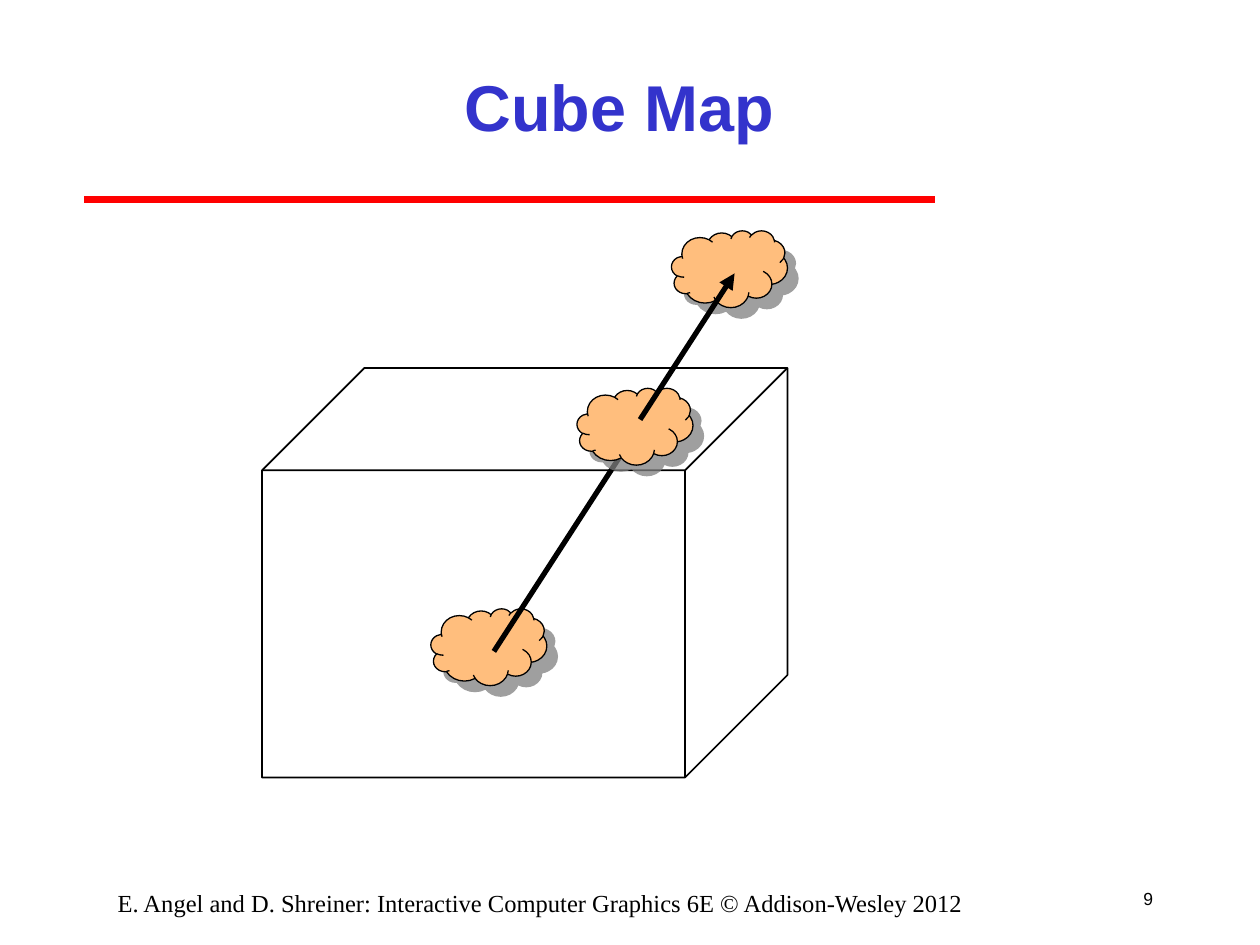
from lxml import etree
from pptx import Presentation
from pptx.dml.color import RGBColor
from pptx.enum import shapes, text
from pptx.oxml import ns
from pptx.util import Inches, Pt

ALIGN = text.PP_ALIGN
ANCHOR = text.MSO_ANCHOR


def color(code):
    return RGBColor.from_string(code)


def sub(parent, tag, **attrs):
    return etree.SubElement(parent, ns.qn(tag), attrs)


def add_text(slide, box, words, size, font, hue="000000", bold=False,
             align=ALIGN.CENTER, anchor=ANCHOR.TOP, wrap=True):
    frame = slide.shapes.add_textbox(*map(Inches, box)).text_frame
    frame.word_wrap = wrap
    frame.vertical_anchor = anchor
    frame.text = words
    para = frame.paragraphs[0]
    para.alignment = align
    style = para.runs[0].font
    style.name, style.size, style.bold = font, Pt(size), bold
    style.color.rgb = color(hue)


def add_line(slide, start, end, hue, width, arrow=False):
    line = slide.shapes.add_connector(
        shapes.MSO_CONNECTOR.STRAIGHT, *map(Inches, start + end))
    line.line.color.rgb = color(hue)
    line.line.width = Pt(width)
    if arrow:
        sub(line.line._get_or_add_ln(), "a:tailEnd", type="triangle")
    sub(line._element.spPr, "a:effectLst")


def add_shape(slide, kind, box, width, fill=None):
    shape = slide.shapes.add_shape(kind, *map(Inches, box))
    shape.shadow.inherit = False
    if fill:
        shape.fill.solid()
        shape.fill.fore_color.rgb = color(fill)
    else:
        shape.fill.background()
    shape.line.color.rgb = color("000000")
    shape.line.width = Pt(width)
    return shape


def add_cloud(slide, left, top):
    cloud = add_shape(slide, shapes.MSO_SHAPE.CLOUD,
                      (left, top, 0.92, 0.61), 0.75, "FFBE7D")
    # Hard grey shadow, down and to the right
    effects = cloud._element.spPr.find(ns.qn("a:effectLst"))
    shadow = sub(effects, "a:outerShdw", blurRad="0", dist=str(Pt(8.5)),
                 dir="2700000", algn="ctr", rotWithShape="0")
    hue = sub(shadow, "a:srgbClr", val="808080")
    sub(hue, "a:alpha", val="75000")


def main():
    deck = Presentation()
    deck.slide_width, deck.slide_height = Inches(10), Inches(7.5)
    slide = deck.slides.add_slide(deck.slide_layouts[6])

    # Rule, page number and footer
    add_line(slide, (0.67, 1.58), (7.42, 1.58), "FF0000", 4)
    add_text(slide, (8.83, 6.92, 0.42, 0.42), "9", 10, "Arial",
             align=ALIGN.RIGHT, anchor=ANCHOR.MIDDLE, wrap=False)
    add_text(slide, (0.5, 7, 7.58, 0.25),
             "E. Angel and D. Shreiner: Interactive Computer Graphics 6E "
             "© Addison-Wesley 2012", 14, "Times New Roman")

    # Clouds inside and outside the cube
    add_cloud(slide, 3.42, 4.83)
    add_cloud(slide, 5.33, 1.83)

    # Title
    add_text(slide, (1.5, 0.25, 6.83, 1.17), "Cube Map", 37, "Arial",
             "3333CC", bold=True, anchor=ANCHOR.MIDDLE)

    # Ray through the cube, with the cloud where it meets the top
    add_line(slide, (3.92, 5.17), (5, 3.5), "000000", 3, arrow=True)
    cube = add_shape(slide, shapes.MSO_SHAPE.CUBE, (2.08, 2.92, 4.17, 3.25), 1)
    cube.adjustments[0] = 0.25
    add_cloud(slide, 4.58, 3.08)
    add_line(slide, (5.08, 3.33), (5.83, 2.17), "000000", 3, arrow=True)

    deck.save("out.pptx")


if __name__ == "__main__":
    main()
